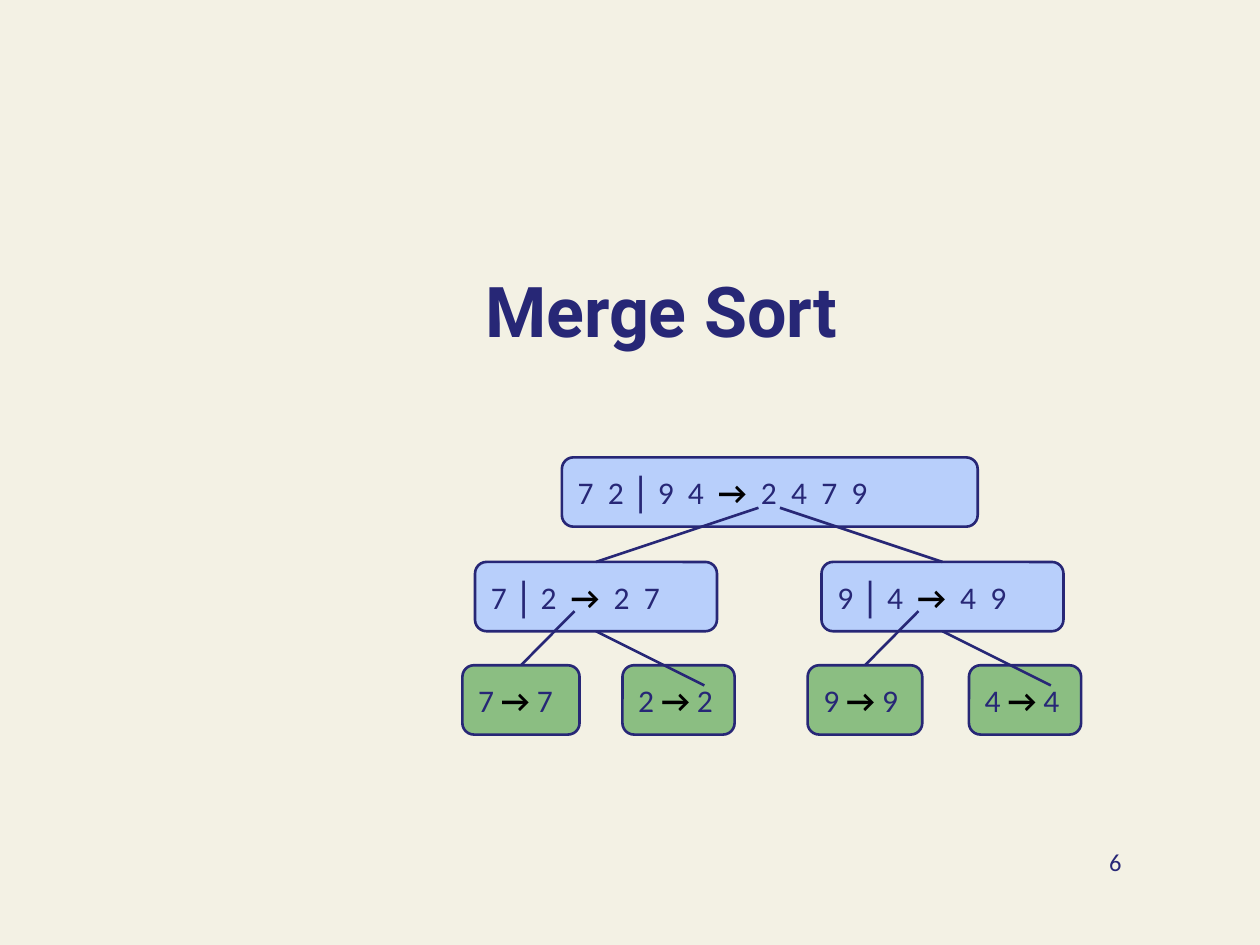
from lxml.etree import SubElement
from pptx import Presentation
from pptx.dml.color import RGBColor
from pptx.enum.shapes import MSO_CONNECTOR as Connector, MSO_SHAPE as Shape
from pptx.enum.text import MSO_ANCHOR as Anchor, PP_ALIGN as Align
from pptx.oxml.ns import qn
from pptx.util import Inches, Pt

NAVY = RGBColor(0x27, 0x27, 0x76)
BLACK = RGBColor(0, 0, 0)
CREAM = RGBColor(0xF3, 0xF1, 0xE4)
BLUE = RGBColor(0xB8, 0xCF, 0xFB)
GREEN = RGBColor(0x8B, 0xBE, 0x82)

ARROW, DIVIDER = "→", "⏐"
TOP, BOTTOM = 0, 2
NODE_HEIGHT = 0.55
ROOT_TOP, HALVES_TOP, LEAVES_TOP = 3.63, 4.46, 5.28


class TreeSlide:
    body_font = "Calibri"
    title_font = "Roboto"
    divider_font = "Open Sans"
    line_width = Pt(1.5)

    def __init__(self, prs):
        self.slide = prs.slides.add_slide(prs.slide_layouts[6])
        background = self.slide.background.fill
        background.solid()
        background.fore_color.rgb = CREAM

    def style_run(self, run, size, font=None, color=NAVY, bold=False):
        run.font.name = font or self.body_font
        run.font.size = Pt(size)
        run.font.color.rgb = color
        run.font.bold = bold

    def label(self, text, box, size, align, anchor=Anchor.TOP, font=None, bold=False):
        frame = self.slide.shapes.add_textbox(*map(Inches, box)).text_frame
        frame.word_wrap = True
        frame.vertical_anchor = anchor
        frame.text = text
        paragraph = frame.paragraphs[0]
        paragraph.alignment = align
        self.style_run(paragraph.runs[0], size, font, bold=bold)

    def node(self, left, top, width, fill, parts):
        """Draw a tree node whose text parts may hold an arrow or a divider."""
        node = self.slide.shapes.add_shape(
            Shape.ROUNDED_RECTANGLE, *map(Inches, (left, top, width, NODE_HEIGHT)))
        node.shadow.inherit = False
        node.fill.solid()
        node.fill.fore_color.rgb = fill
        node.line.color.rgb = NAVY
        node.line.width = self.line_width
        frame = node.text_frame
        frame.word_wrap = True
        frame.vertical_anchor = Anchor.MIDDLE
        paragraph = frame.paragraphs[0]
        paragraph.alignment = Align.LEFT
        for part in parts:
            run = paragraph.add_run()
            run.text = part
            if part == DIVIDER:
                self.style_run(run, 18, self.divider_font, bold=True)
            elif part.startswith(ARROW):
                self.style_run(run, 18, color=BLACK, bold=True)
            else:
                self.style_run(run, 18)
        return node

    def branch(self, node, side, end_x, end_y):
        """Draw a line from the middle of a node's side to a free point."""
        line = self.slide.shapes.add_connector(
            Connector.STRAIGHT, node.left, node.top, Inches(end_x), Inches(end_y))
        line.begin_connect(node, side)
        line.line.color.rgb = NAVY
        line.line.width = self.line_width
        SubElement(line._element.spPr, qn("a:effectLst"))


def main():
    prs = Presentation()
    prs.slide_width, prs.slide_height = Inches(10), Inches(7.5)
    tree = TreeSlide(prs)

    tree.label("Merge Sort", (1, 1.83, 8.5, 1.25), 40, Align.CENTER,
               Anchor.MIDDLE, tree.title_font, bold=True)

    tree.node(4.46, ROOT_TOP, 3.3, BLUE,
              ["7  2 ", DIVIDER, " 9  4  ", ARROW + "  ", "2  4  7  9"])
    halves = [
        tree.node(left, HALVES_TOP, 1.92, BLUE,
                  [f"{first} ", DIVIDER, f" {second}  ", ARROW + "  ", merged])
        for left, first, second, merged in [(3.77, 7, 2, "2  7"), (6.52, 9, 4, "4  9")]
    ]
    leaves = [
        tree.node(left, LEAVES_TOP, width, GREEN, [f"{value} ", ARROW + " ", f"{value}"])
        for left, width, value in [(3.67, 0.93, 7), (4.94, 0.89, 2),
                                   (6.41, 0.91, 9), (7.69, 0.89, 4)]
    ]

    for half, end_x in zip(halves, (6.02, 6.19)):
        tree.branch(half, TOP, end_x, 4.03)
    for first_leaf, end_x in zip(leaves[::2], (4.56, 7.29)):
        tree.branch(first_leaf, TOP, end_x, 4.85)
    for half, end_x in zip(halves, (5.59, 8.34)):
        tree.branch(half, BOTTOM, end_x, 5.44)

    tree.label("6", (7.17, 6.67, 1.83, 0.5), 14, Align.RIGHT)
    prs.save("out.pptx")


if __name__ == "__main__":
    main()
